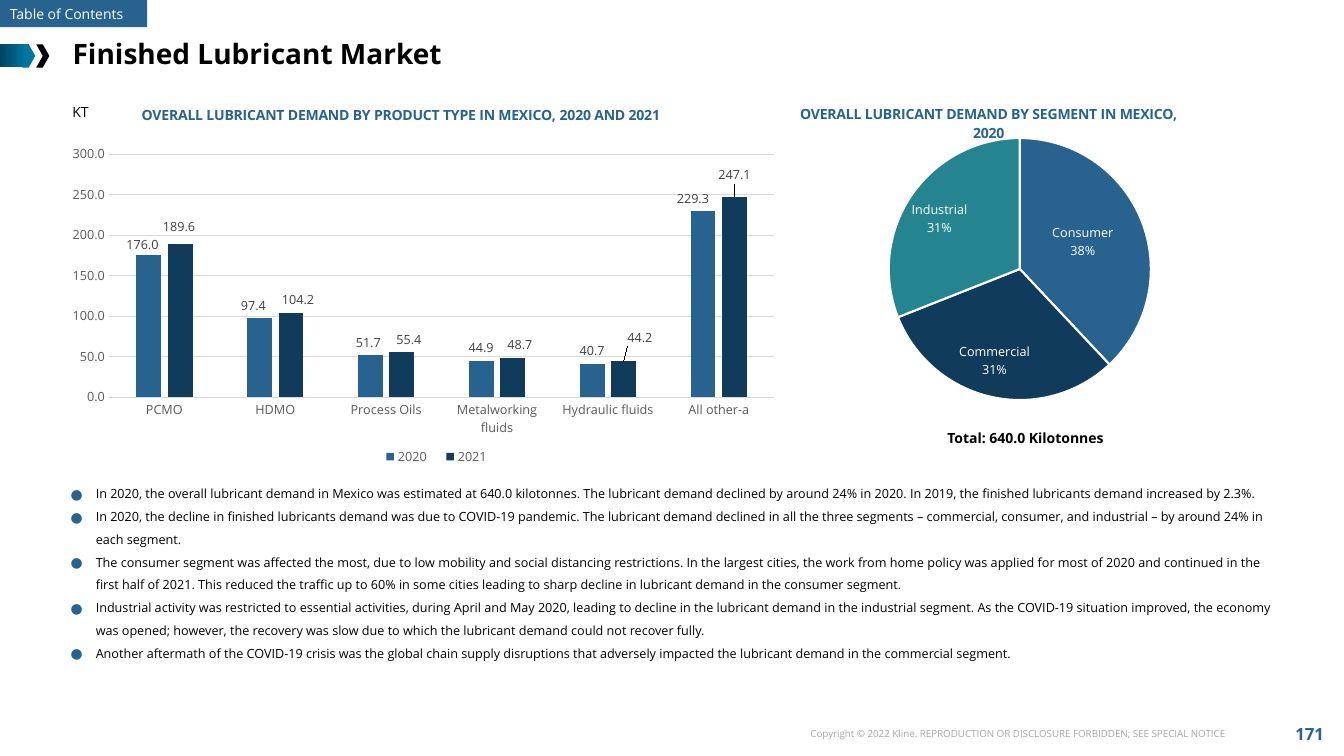
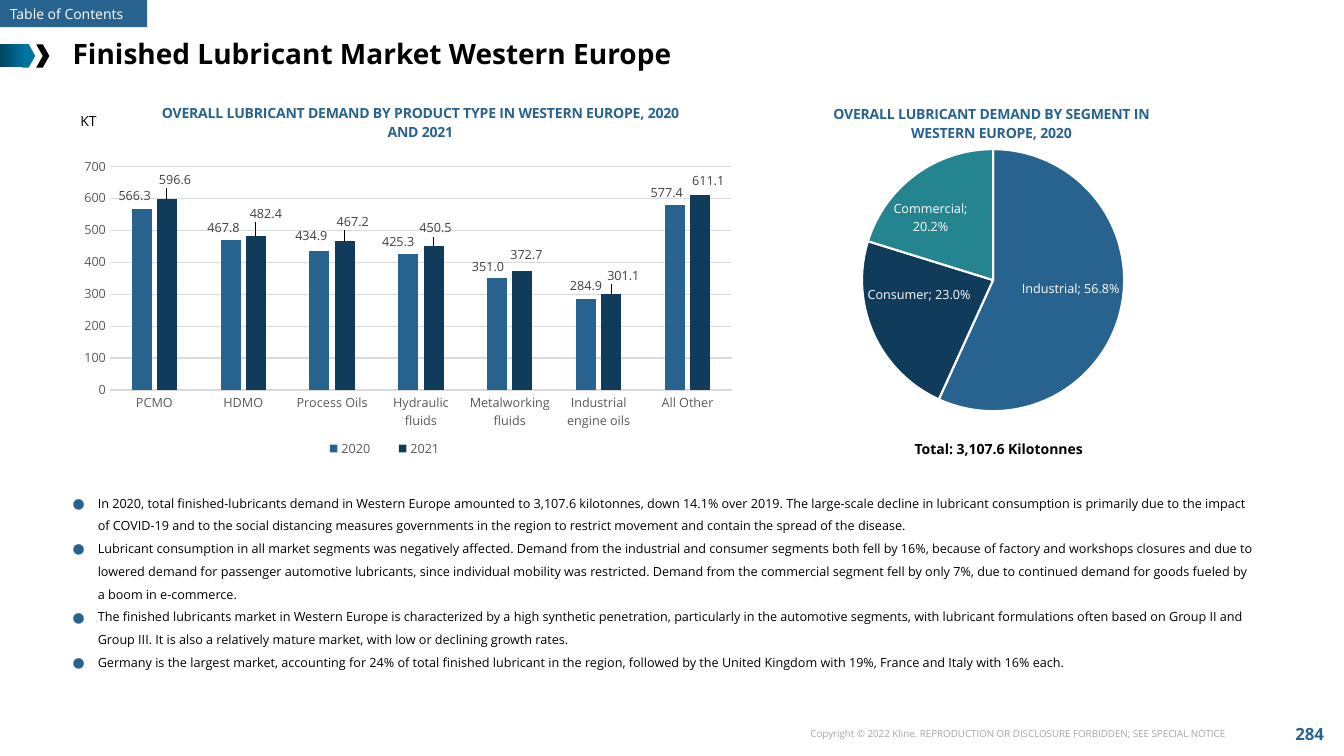
from copy import deepcopy
from dataclasses import dataclass

from lxml import etree
from pptx import Presentation
from pptx.chart.data import CategoryChartData
from pptx.dml.color import RGBColor
from pptx.enum.chart import XL_CHART_TYPE, XL_LABEL_POSITION, XL_LEGEND_POSITION, XL_TICK_MARK
from pptx.enum.shapes import MSO_SHAPE
from pptx.enum.text import MSO_ANCHOR, MSO_AUTO_SIZE, PP_ALIGN
from pptx.oxml.ns import qn
from pptx.util import Inches, Pt

COLUMN, PIE = XL_CHART_TYPE.COLUMN_CLUSTERED, XL_CHART_TYPE.PIE
RECT, CHEVRON = MSO_SHAPE.RECTANGLE, MSO_SHAPE.CHEVRON
LEFT, CENTER, RIGHT = PP_ALIGN.LEFT, PP_ALIGN.CENTER, PP_ALIGN.RIGHT
TOP, MIDDLE = MSO_ANCHOR.TOP, MSO_ANCHOR.MIDDLE
OUTER, INNER = XL_LABEL_POSITION.OUTSIDE_END, XL_LABEL_POSITION.CENTER
BEST = XL_LABEL_POSITION.BEST_FIT
NO_TICK, BOTTOM = XL_TICK_MARK.NONE, XL_LEGEND_POSITION.BOTTOM
NO_FIT = MSO_AUTO_SIZE.NONE


@dataclass(frozen=True)
class Theme:
    font: str = "Open Sans"
    blue: str = "27638E"
    navy: str = "113B5A"
    teal: str = "248591"
    deep: str = "004461"
    sea: str = "007BAA"
    tip: str = "00759E"
    black: str = "000000"
    white: str = "FFFFFF"
    axis: str = "595959"
    label: str = "404040"
    grid: str = "D9D9D9"
    gray: str = "A6A6A6"
    head: int = 20
    page: int = 12
    base: int = 10
    small: int = 9
    tiny: int = 7


T = Theme()


@dataclass(frozen=True)
class Box:
    x: float
    y: float
    w: float = 0
    h: float = 0

    def emu(self):
        return [Inches(v) for v in (self.x, self.y, self.w, self.h)]


@dataclass(frozen=True)
class Bars:
    box: Box
    title: str
    head: Box
    plot: Box
    legend: Box
    cats: list[str]
    rows: dict[str, list[float]]
    shifts: list[dict[int, tuple[float, float]]]
    top: int
    step: int
    axis_fmt: str


@dataclass(frozen=True)
class Pie:
    box: Box
    title: str
    head: Box
    plot: Box
    cats: list[str]
    vals: list[float]
    share: bool
    fmt: str
    split: str
    spot: XL_LABEL_POSITION
    shifts: dict[int, tuple[float, float]]


@dataclass(frozen=True)
class Page:
    num: str
    title: str
    bars: Bars
    pie: Pie
    unit: Box
    total: str
    total_box: Box
    facts: list[str]
    facts_box: Box


def rgb(code: str) -> RGBColor:
    return RGBColor.from_string(code)


def style(font, size: int, color: str, bold: bool = False) -> None:
    font.name, font.size, font.bold = T.font, Pt(size), bold
    font.color.rgb = rgb(color)


def write(shape, text: str, size: int, color: str, bold=False, align=LEFT, anchor=TOP) -> None:
    frame = shape.text_frame
    frame.word_wrap, frame.auto_size = True, NO_FIT
    frame.vertical_anchor = anchor
    para = frame.paragraphs[0]
    para.alignment = align
    run = para.add_run()
    run.text = text
    style(run.font, size, color, bold)


def add_text(slide, box: Box, *args, **opts) -> None:
    write(slide.shapes.add_textbox(*box.emu()), *args, **opts)


def add_shape(slide, kind, box: Box, color: str):
    shape = slide.shapes.add_shape(kind, *box.emu())
    shape.shadow.inherit = False
    shape.fill.solid()
    shape.fill.fore_color.rgb = rgb(color)
    shape.line.fill.background()
    return shape


def add_frame(slide, page: Page) -> None:
    """Draw the band, arrow, title and footer that every slide has."""
    add_text(slide, Box(12.68, 7.07, 0.62, 0.43), page.num, T.page, T.blue, True, CENTER, MIDDLE)
    add_text(slide, Box(7.71, 7.17, 4.54, 0.22),
             "Copyright © 2022 Kline. REPRODUCTION OR DISCLOSURE FORBIDDEN; SEE SPECIAL NOTICE",
             T.tiny, T.gray, align=RIGHT)
    tail = add_shape(slide, RECT, Box(0, 0.44, 0.29, 0.23), T.deep)
    tail.fill.gradient()
    tail.fill.gradient_angle = 0
    for stop, color in zip(tail.fill.gradient_stops, (T.deep, T.sea)):
        stop.color.rgb = rgb(color)
    for left, color in ((0.22, T.tip), (0.36, T.black)):
        add_shape(slide, CHEVRON, Box(left, 0.44, 0.13, 0.23), color)
    band = add_shape(slide, RECT, Box(0, 0, 1.46, 0.27), T.blue)
    write(band, "Table of Contents", T.base, T.white, anchor=MIDDLE)
    title = slide.shapes.title
    title.left, title.top, title.width, title.height = Box(0.62, 0.31, 12, 0.44).emu()
    write(title, page.title, T.head, T.black, True, anchor=MIDDLE)


def add_facts(slide, box: Box, facts: list[str]) -> None:
    body = slide.placeholders[1]
    body.left, body.top, body.width, body.height = box.emu()
    frame = body.text_frame
    frame.word_wrap, frame.auto_size, frame.vertical_anchor = True, NO_FIT, TOP
    for i, fact in enumerate(facts):
        para = frame.add_paragraph() if i else frame.paragraphs[0]
        props = para._p.get_or_add_pPr()
        props.set("marL", str(Inches(0.25)))
        props.set("indent", str(-Inches(0.25)))
        tint = etree.SubElement(props, qn("a:buClr"))
        etree.SubElement(tint, qn("a:srgbClr"), val=T.blue)
        etree.SubElement(props, qn("a:buSzPct"), val="110000")
        etree.SubElement(props, qn("a:buFont"), typeface=T.font)
        etree.SubElement(props, qn("a:buChar"), char="●")
        para.line_spacing, para.space_before, para.space_after = 1.5, Pt(0), Pt(0)
        run = para.add_run()
        run.text = fact
        style(run.font, T.small, T.black)


def place(host, index: int, **vals) -> None:
    """Give a chart part a manual layout."""
    old = host.find(qn("c:layout"))
    if old is not None:
        host.remove(old)
    layout = etree.Element(qn("c:layout"))
    host.insert(index, layout)
    manual = etree.SubElement(layout, qn("c:manualLayout"))
    for key, val in vals.items():
        etree.SubElement(manual, qn("c:" + key), val=str(val))


def pin(host, index: int, part: Box, box: Box, **target) -> None:
    """Turn a place on the slide into shares of the chart."""
    vals = {"x": (part.x - box.x) / box.w, "y": (part.y - box.y) / box.h}
    if part.w:
        vals |= {"w": part.w / box.w, "h": part.h / box.h}
    place(host, index, **target, xMode="edge", yMode="edge", **vals)


def shift(labels, moves: dict[int, tuple[float, float]], box: Box) -> None:
    """Move single labels by inches, keeping the format of the series."""
    root = labels._element
    parts = [part for part in root if part.tag != qn("c:showLeaderLines")]
    for pos, (i, (dx, dy)) in enumerate(moves.items()):
        item = etree.Element(qn("c:dLbl"))
        etree.SubElement(item, qn("c:idx"), val=str(i))
        place(item, 1, x=dx / box.w, y=dy / box.h)
        item.extend(deepcopy(part) for part in parts)
        root.insert(pos, item)


def set_labels(series, fmt: str, color: str, spot):
    labels = series.data_labels
    labels.number_format, labels.number_format_is_linked = fmt, False
    style(labels.font, T.small, color)
    labels.position, labels.show_value = spot, True
    return labels


def add_chart(slide, kind, item: Bars | Pie, rows: dict[str, list[float]]):
    data = CategoryChartData()
    data.categories = item.cats
    for name, vals in rows.items():
        data.add_series(name, vals)
    chart = slide.shapes.add_chart(kind, *item.box.emu(), data).chart
    style(chart.font, T.base, T.black)
    chart.has_title, chart.has_legend = True, False
    run = chart.chart_title.text_frame.paragraphs[0].add_run()
    run.text = item.title
    style(run.font, T.base, T.blue, True)
    pin(chart.chart_title._element, 1, item.head, item.box)
    area = chart._chartSpace.find(".//" + qn("c:plotArea"))
    pin(area, 0, item.plot, item.box, layoutTarget="inner")
    return chart


def add_bars(slide, bars: Bars) -> None:
    chart = add_chart(slide, COLUMN, bars, bars.rows)
    plot = chart.plots[0]
    plot.gap_width, plot.overlap, plot.vary_by_categories = 219, -27, False
    for series, color, moves in zip(plot.series, (T.blue, T.navy), bars.shifts):
        series.format.fill.solid()
        series.format.fill.fore_color.rgb = rgb(color)
        shift(set_labels(series, "0.0", T.label, OUTER), moves, bars.box)
    cat, val = chart.category_axis, chart.value_axis
    for axis in (cat, val):
        axis.major_tick_mark = axis.minor_tick_mark = NO_TICK
        style(axis.tick_labels.font, T.small, T.axis)
    val.minimum_scale, val.maximum_scale, val.major_unit = 0, bars.top, bars.step
    val.tick_labels.number_format = bars.axis_fmt
    val.tick_labels.number_format_is_linked = False
    val.format.line.fill.background()
    for line in (cat.format.line, val.major_gridlines.format.line):
        line.color.rgb, line.width = rgb(T.grid), Pt(0.75)
    chart.has_legend = True
    chart.legend.position, chart.legend.include_in_layout = BOTTOM, False
    style(chart.legend.font, T.small, T.axis)
    pin(chart.legend._element, 1, bars.legend, bars.box)


def add_pie(slide, pie: Pie) -> None:
    series = add_chart(slide, PIE, pie, {"Series 1": pie.vals}).plots[0].series[0]
    for i, color in enumerate((T.blue, T.navy, T.teal)):
        form = series.points[i].format
        form.fill.solid()
        form.fill.fore_color.rgb = rgb(color)
        form.line.color.rgb, form.line.width = rgb(T.white), Pt(1.5)
    labels = set_labels(series, pie.fmt, T.white, pie.spot)
    labels.show_category_name = True
    labels.show_value, labels.show_percentage = not pie.share, pie.share
    split = etree.Element(qn("c:separator"))
    split.text = pie.split
    labels._element.find(qn("c:showBubbleSize")).addnext(split)
    shift(labels, pie.shifts, pie.box)


PAGES = [
    Page("171", "Finished Lubricant Market", Bars(
        Box(0.58, 0.97, 7.24, 3.77),
        "OVERALL LUBRICANT DEMAND BY PRODUCT TYPE IN MEXICO, 2020 AND 2021",
        Box(1.38, 1.01), Box(1.08, 1.53, 6.6, 2.41), Box(3.68, 4.4, 1.3, 0.26),
        ["PCMO", "HDMO", "Process Oils", "Metalworking fluids", "Hydraulic fluids", "All other-a"],
        {"2020": [176, 97.4, 51.7, 44.9, 40.7, 229.3],
         "2021": [189.6, 104.2, 55.4, 48.7, 44.2, 247.1]},
        [{0: (-0.06, 0.03), 1: (-0.06, 0), 2: (-0.02, 0), 5: (-0.1, 0)},
         {0: (-0.01, -0.04), 1: (0.07, 0), 2: (0.07, 0), 3: (0.07, 0), 4: (0.16, -0.11),
          5: (0, -0.09)}], 300, 50, "0.0"),
        Pie(Box(7.35, 0.88, 5.15, 3.42), "OVERALL LUBRICANT DEMAND BY SEGMENT IN MEXICO, 2020",
            Box(7.91, 1), Box(8.56, 1.37, 3.11, 2.6), ["Consumer", "Commercial", "Industrial"],
            [38, 31, 31], True, "0%", "\n", INNER,
            {0: (0.02, -0.03), 1: (-0.11, 0.28), 2: (-0.26, -0.13)}),
        Box(0.62, 0.98, 0.53, 0.27), "Total: 640.0 Kilotonnes", Box(8.44, 4.21, 3.46, 0.27), [
            "In 2020, the overall lubricant demand in Mexico was estimated at 640.0 kilotonnes. The lubricant demand declined by around 24% in 2020. In 2019, the finished lubricants demand increased by 2.3%.",
            "In 2020, the decline in finished lubricants demand was due to COVID-19 pandemic. The lubricant demand declined in all the three segments – commercial, consumer, and industrial – by around 24% in each segment.",
            "The consumer segment was affected the most, due to low mobility and social distancing restrictions. In the largest cities, the work from home policy was applied for most of 2020 and continued in the first half of 2021. This reduced the traffic up to 60% in some cities leading to sharp decline in lubricant demand in the consumer segment.",
            "Industrial activity was restricted to essential activities, during April and May 2020, leading to decline in the lubricant demand in the industrial segment. As the COVID-19 situation improved, the economy was opened; however, the recovery was slow due to which the lubricant demand could not recover fully.",
            "Another aftermath of the COVID-19 crisis was the global chain supply disruptions that adversely impacted the lubricant demand in the commercial segment.",
        ], Box(0.6, 4.7, 12.14, 2.12)),
    Page("284", "Finished Lubricant Market Western Europe", Bars(
        Box(0.7, 0.9, 6.69, 3.77),
        "OVERALL LUBRICANT DEMAND BY PRODUCT TYPE IN WESTERN EUROPE, 2020 AND 2021",
        Box(1.58, 0.99), Box(1.09, 1.65, 6.17, 2.22), Box(3.03, 4.32, 1.57, 0.26),
        ["PCMO", "HDMO", "Process Oils", "Hydraulic fluids", "Metalworking fluids",
         "Industrial engine oils", "All Other"],
        {"2020": [566.3, 467.8, 434.9, 425.3, 351, 284.9, 577.4],
         "2021": [596.6, 482.4, 467.2, 450.5, 372.7, 301.1, 611.1]},
        [{0: (-0.07, 0), 1: (-0.07, 0), 2: (-0.08, -0.02), 3: (-0.1, 0.01), 4: (-0.09, 0.02),
          6: (-0.08, 0)},
         {0: (0.08, -0.07), 1: (0.1, -0.09), 2: (0.08, -0.06), 3: (0.02, -0.05),
          4: (0.04, -0.03), 5: (0.12, -0.05), 6: (0.08, -0.01)}], 700, 100, "General"),
        Pie(Box(7.47, 0.9, 4.31, 3.42),
            "OVERALL LUBRICANT DEMAND BY SEGMENT IN WESTERN EUROPE, 2020",
            Box(8.24, 1), Box(8.55, 1.48, 2.6, 2.6), ["Industrial", "Consumer", "Commercial"],
            [0.568, 0.23, 0.202], False, "0.0%", "; ", BEST, {}),
        Box(0.7, 1.07, 0.53, 0.27), "Total: 3,107.6 Kilotonnes", Box(8.66, 4.32, 2.49, 0.27), [
            "In 2020, total finished-lubricants demand in Western Europe amounted to 3,107.6 kilotonnes, down 14.1% over 2019. The large-scale decline in lubricant consumption is primarily due to the impact of COVID-19 and to the social distancing measures governments in the region to restrict movement and contain the spread of the disease.",
            "Lubricant consumption in all market segments was negatively affected. Demand from the industrial and consumer segments both fell by 16%, because of factory and workshops closures and due to lowered demand for passenger automotive lubricants, since individual mobility was restricted. Demand from the commercial segment fell by only 7%, due to continued demand for goods fueled by a boom in e-commerce.",
            "The finished lubricants market in Western Europe is characterized by a high synthetic penetration, particularly in the automotive segments, with lubricant formulations often based on Group II and Group III. It is also a relatively mature market, with low or declining growth rates.",
            "Germany is the largest market, accounting for 24% of total finished lubricant in the region, followed by the United Kingdom with 19%, France and Italy with 16% each.",
        ], Box(0.62, 4.79, 11.92, 1.89)),
]


def main() -> None:
    deck = Presentation()
    deck.slide_width, deck.slide_height = Inches(13.33), Inches(7.5)
    for page in PAGES:
        slide = deck.slides.add_slide(deck.slide_layouts[1])
        add_frame(slide, page)
        add_pie(slide, page.pie)
        add_text(slide, page.total_box, page.total, T.base, T.black, True, CENTER)
        add_bars(slide, page.bars)
        add_text(slide, page.unit, "KT", T.base, T.black)
        add_facts(slide, page.facts_box, page.facts)
    deck.save("out.pptx")


if __name__ == "__main__":
    main()
